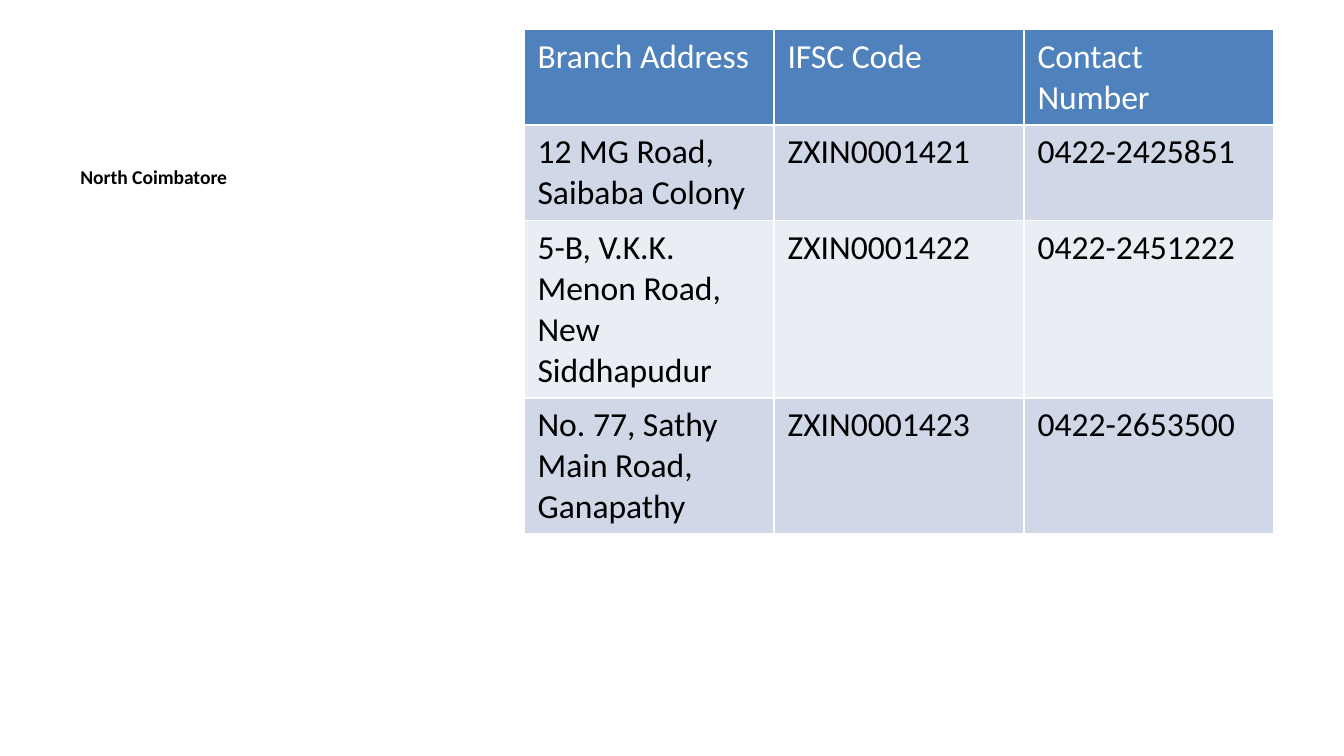
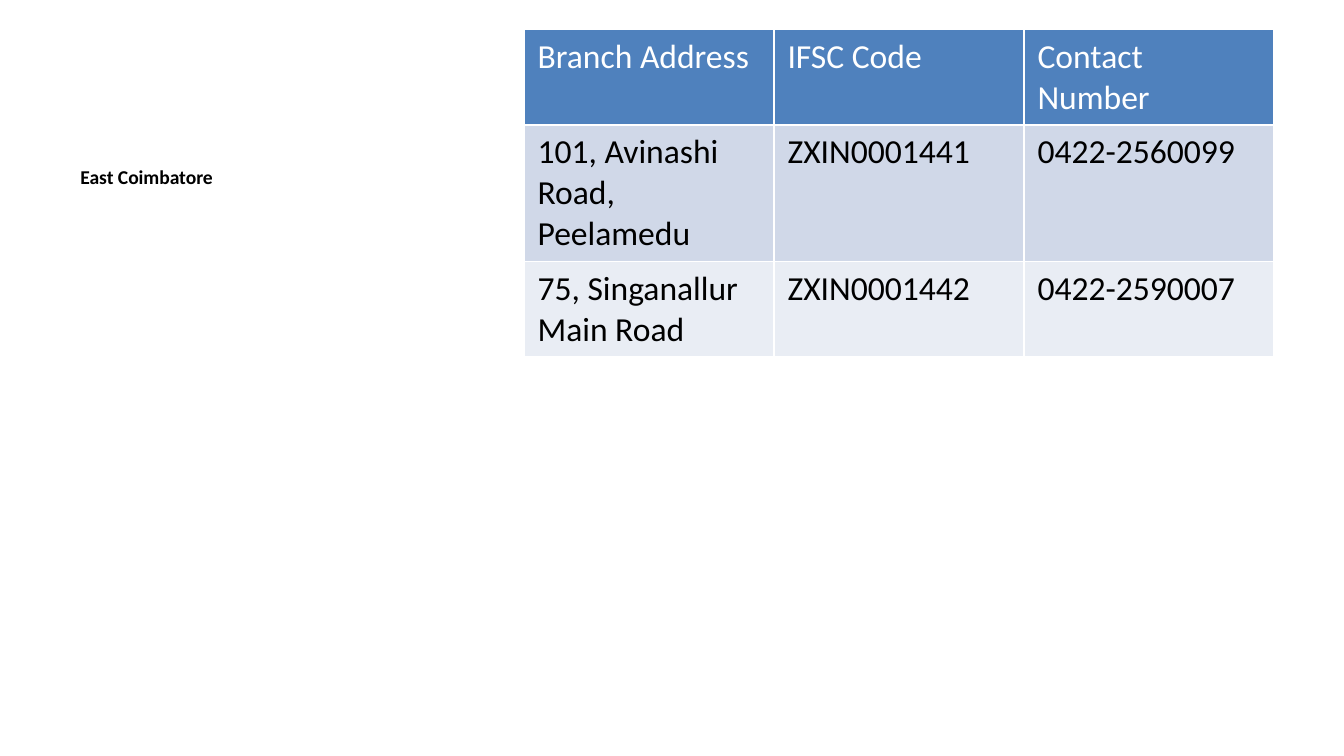
from pptx import Presentation
from pptx.dml.color import RGBColor as RGB
from pptx.oxml.ns import qn
from pptx.util import Inches, Pt
from lxml.etree import SubElement

COLORS = {"header": "4F81BD", "band_odd": "D0D8E8", "band_even": "E9EDF4",
          "white": "FFFFFF", "black": "000000"}
FONT = "Calibri"
BODY_SIZE = 18
REGION_BOX = (0.5, 1.18, 3.29, 3.85)
TABLE_BOX = (3.9, 0.22, 5.58)
CELL_MARGIN = 0.05
LINE_HEIGHT = BODY_SIZE * 1.22 / 72
HEADERS = ("Branch Address", "IFSC Code", "Contact Number")
HEADER_LINES = 2

# Each branch: lines its address fills, then the cells of its row.
REGIONS = {
    "North Coimbatore": [
        (2, ("12 MG Road, Saibaba Colony", "ZXIN0001421", "0422-2425851")),
        (4, ("5-B, V.K.K. Menon Road, New Siddhapudur", "ZXIN0001422", "0422-2451222")),
        (3, ("No. 77, Sathy Main Road, Ganapathy", "ZXIN0001423", "0422-2653500")),
    ],
    "East Coimbatore": [
        (3, ("101, Avinashi Road, Peelamedu", "ZXIN0001441", "0422-2560099")),
        (2, ("75, Singanallur Main Road", "ZXIN0001442", "0422-2590007")),
    ],
}


def write_text(tf, text, size=BODY_SIZE, color="black", bold=False):
    tf.word_wrap = True
    r = tf.paragraphs[0].add_run()
    r.text = text
    r.font.name = FONT
    r.font.size = Pt(size)
    r.font.bold = bold
    r.font.color.rgb = RGB.from_string(COLORS[color])


def set_borders(cell, color="white", width=1):
    tcPr = cell._tc.get_or_add_tcPr()
    for side in ("lnL", "lnR", "lnT", "lnB"):
        ln = SubElement(tcPr, qn(f"a:{side}"), w=str(Pt(width)))
        fill = SubElement(ln, qn("a:solidFill"))
        SubElement(fill, qn("a:srgbClr"), val=COLORS[color])


def style_cell(cell, fill):
    """Borders go in before the fill, as the schema orders them."""
    set_borders(cell)
    cell.fill.solid()
    cell.fill.fore_color.rgb = RGB.from_string(COLORS[fill])


def add_region_name(s, name, box):
    sp = s.shapes.add_textbox(*map(Inches, box))
    write_text(sp.text_frame, name, size=10.5, bold=True)


def add_branch_table(s, branches, box):
    left, top, width = box
    rows = [(HEADER_LINES, HEADERS), *branches]
    heights = [2 * CELL_MARGIN + n * LINE_HEIGHT for n, _ in rows]
    table = s.shapes.add_table(
        len(rows), len(HEADERS), Inches(left), Inches(top), Inches(width),
        Inches(sum(heights))).table
    for i, (_, texts) in enumerate(rows):
        table.rows[i].height = Inches(heights[i])
        fill = "header" if i == 0 else "band_odd" if i % 2 else "band_even"
        for j, text in enumerate(texts):
            cell = table.cell(i, j)
            style_cell(cell, fill)
            write_text(cell.text_frame, text, color="black" if i else "white")


def add_region_slide(prs, name, branches):
    s = prs.slides.add_slide(prs.slide_layouts[6])
    add_region_name(s, name, REGION_BOX)
    add_branch_table(s, branches, TABLE_BOX)


def main():
    prs = Presentation()
    prs.slide_width = Inches(10)
    prs.slide_height = Inches(10 * 9 / 16)
    for name, branches in REGIONS.items():
        add_region_slide(prs, name, branches)
    prs.save("out.pptx")


if __name__ == "__main__":
    main()
